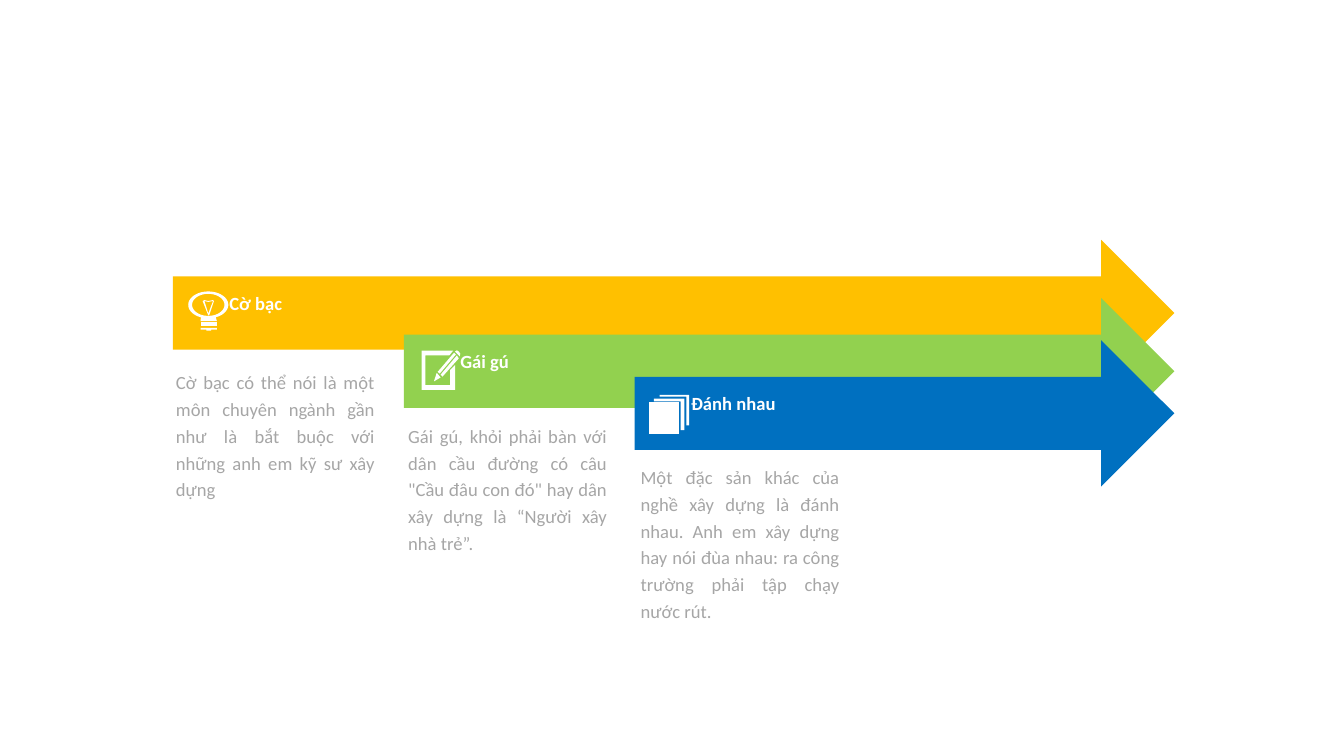
from dataclasses import dataclass
from math import cos, radians, sin

from pptx import Presentation
from pptx import util as u
from pptx.dml.color import RGBColor
from pptx.enum import text as t

Pt = u.Pt
Outline = list[tuple[float, float]]

FONT = "Calibri"
WHITE = "FFFFFF"
GREY = "A6A6A6"
ARROW_LEFT, ARROW_STEP, ARROW_HEIGHT = 130.3, 173.9, 110.2
HEAD_LEFT, TIP = 829.4, 884.6
CAPTION_LEFT, CAPTION_STEP, CAPTION_WIDTH = 124.6, 175, 165.6


@dataclass
class Step:
    title: str
    caption: str
    color: str
    top: float
    caption_top: float
    caption_height: float
    icon_left: float
    icon_top: float
    icon: list[list[Outline]]


def rgb(color: str) -> RGBColor:
    return RGBColor.from_string(color)


def box(left: float, top: float, right: float, bottom: float) -> Outline:
    return [(left, top), (right, top), (right, bottom), (left, bottom)]


def arc(cx: float, cy: float, rx: float, ry: float, start: int, end: int) -> Outline:
    return [(cx + rx * cos(radians(a)), cy + ry * sin(radians(a)))
            for a in range(start, end + 1, 4)]


def write(tf, text: str, *, color: str, bold: bool = False, spacing: float = 1.0,
          align=t.PP_ALIGN.LEFT, anchor=t.MSO_ANCHOR.TOP,
          insets: tuple[float, float, float, float] = (7.9, 3.6, 7.9, 3.6)) -> None:
    tf.word_wrap = True
    tf.vertical_anchor = anchor
    tf.margin_left, tf.margin_top, tf.margin_right, tf.margin_bottom = map(Pt, insets)
    p = tf.paragraphs[0]
    p.alignment = align
    p.line_spacing = spacing
    r = p.add_run()
    r.text = text
    r.font.name = FONT
    r.font.size = Pt(14)
    r.font.bold = bold
    r.font.color.rgb = rgb(color)


def draw(shapes, outlines: list[Outline], color: str, left: float = 0, top: float = 0):
    contours = [[(Pt(left + x), Pt(top + y)) for x, y in o] for o in outlines]
    first, *holes = contours
    fb = shapes.build_freeform(*first[0], scale=1.0)
    fb.add_line_segments(first[1:], close=True)
    for hole in holes:
        fb.move_to(*hole[0])
        fb.add_line_segments(hole[1:], close=True)
    sp = fb.convert_to_shape()
    sp.shadow.inherit = False
    sp.fill.solid()
    sp.fill.fore_color.rgb = rgb(color)
    sp.line.fill.background()
    return sp


def add_caption(s, step: Step, left: float) -> None:
    sp = s.shapes.add_textbox(Pt(left), Pt(step.caption_top),
                              Pt(CAPTION_WIDTH), Pt(step.caption_height))
    write(sp.text_frame, step.caption, color=GREY, spacing=1.2, align=t.PP_ALIGN.JUSTIFY)
    sp.text_frame.auto_size = t.MSO_AUTO_SIZE.SHAPE_TO_FIT_TEXT


def add_arrow(s, step: Step, left: float) -> None:
    h = ARROW_HEIGHT
    outline = [(left, h / 4), (HEAD_LEFT, h / 4), (HEAD_LEFT, 0), (TIP, h / 2),
               (HEAD_LEFT, h), (HEAD_LEFT, h * 3 / 4), (left, h * 3 / 4)]
    sp = draw(s.shapes, [outline], step.color, top=step.top)
    write(sp.text_frame, step.title, color=WHITE, bold=True,
          anchor=t.MSO_ANCHOR.MIDDLE, insets=(42.5, 29.5, 47.5, 44.6))


def add_icon(s, step: Step) -> None:
    group = s.shapes.add_group_shape()
    for outlines in step.icon:
        draw(group.shapes, outlines, WHITE, step.icon_left, step.icon_top)


BULB = [
    [arc(15.1, 10.1, 15.1, 10.1, 112, 428) + [(21.6, 22.3), (9.4, 22.3)],
     arc(15.1, 10.1, 12.2, 8.3, 0, 356)],
    [box(9.4, 23, 21.6, 25.9)],
    [[(9.4, 27.4), (21.6, 27.4), (21.6, 28.8), (17.3, 28.8),
      (17.3, 29.5), (13.7, 29.5), (13.7, 28.8), (9.4, 28.8)]],
    [[(10.8, 7.2), (12.2, 6.5), (15.1, 7.2), (18.7, 6.5), (19.4, 7.2), (15.8, 18), (15.1, 18)],
     [(15.1, 16.6), (12.2, 7.2), (15.1, 7.9), (18.7, 7.2)]],
]
PENCIL = [
    [[(14.4, 20.9), (11.5, 17.3), (9.4, 23.8)]],
    [[(24.5, 2.2), (12.2, 16.6), (13.7, 18), (25.9, 3.6)]],
    [[(14.4, 18.7), (15.8, 20.2), (28.1, 6.5), (26.6, 4.3)]],
    [[(25.2, 1.4), (26.6, 0.4), (28.1, 1.4), (29.2, 3), (28.8, 5)]],
    [[(21.6, 26.6), (2.9, 26.6), (2.9, 4.3), (20.9, 4.3), (23.8, 0.7), (0, 0.7),
      (0, 30.2), (25.2, 30.2), (25.2, 11.5), (21.6, 15.1)]],
]
SHEETS = [
    [[(3.6, 5), (23.8, 5), (23.8, 26.6), (26.6, 26.6), (26.6, 2.9), (3.6, 2.9)]],
    [[(7.9, 1.4), (28.1, 1.4), (28.1, 23), (30.2, 23), (30.2, 0), (7.9, 0)]],
    [box(0, 5.8, 22.3, 29.5)],
]
STEPS = [
    Step("Cờ bạc",
         "Cờ bạc có thể nói là một môn chuyên ngành gần như là bắt buộc "
         "với những anh em kỹ sư xây dựng",
         "FFC000", 180.7, 272.9, 108, 141.8, 219.6, BULB),
    Step("Gái gú",
         "Gái gú, khỏi phải bàn với dân cầu đường có câu \"Cầu đâu con đó\" "
         "hay dân xây dựng là “Người xây nhà trẻ”.",
         "92D14F", 224.6, 313.2, 108, 317.5, 263.5, PENCIL),
    Step("Đánh nhau",
         "Một đặc sản khác của nghề xây dựng là đánh nhau. Anh em xây dựng "
         "hay nói đùa nhau: ra công trường phải tập chạy nước rút.",
         "0070C0", 256.3, 344.2, 128.2, 488.9, 297.4, SHEETS),
]


def main() -> None:
    prs = Presentation()
    prs.slide_width, prs.slide_height = Pt(1012.3), Pt(569.5)
    s = prs.slides.add_slide(prs.slide_layouts[6])
    for i, step in enumerate(STEPS):
        add_caption(s, step, CAPTION_LEFT + i * CAPTION_STEP)
    for i, step in enumerate(STEPS):
        add_arrow(s, step, ARROW_LEFT + i * ARROW_STEP)
    for step in STEPS:
        add_icon(s, step)
    prs.save("out.pptx")


if __name__ == "__main__":
    main()
